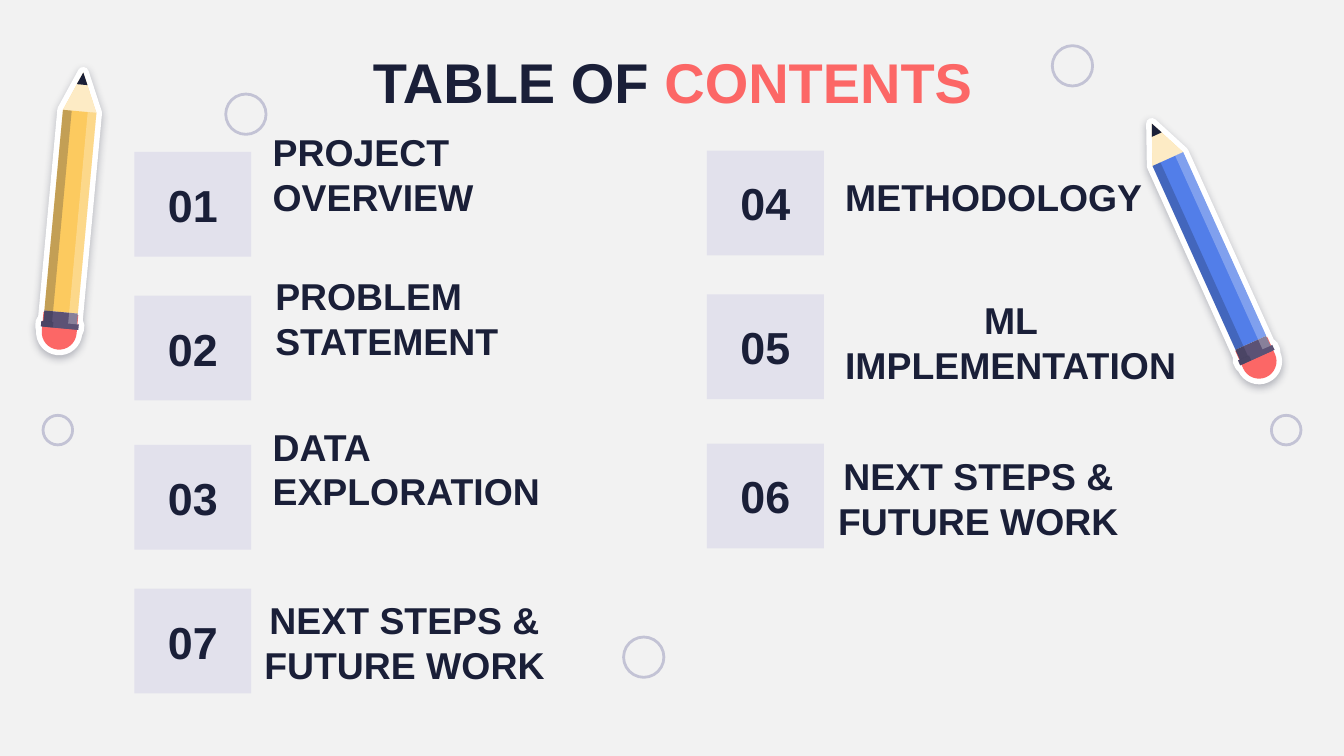
from math import cos, sin, pi, radians
from lxml.etree import SubElement as Sub
from pptx import Presentation
from pptx.dml.color import RGBColor
from pptx.enum.shapes import MSO_SHAPE as Kind
from pptx.enum.text import MSO_ANCHOR as Anchor, MSO_AUTO_SIZE as Auto, PP_ALIGN as Align
from pptx.oxml.ns import qn
from pptx.util import Inches, Pt

WIDE = 10
HIGH = WIDE * 9 / 16
COLS, ROWS = ((1, 0), (5.26, -0.01)), (1.13, 2.2, 3.31, 4.38)
TILE = (0.87, 0.78)
INK, RED, LILAC, RING, GOLD, WHITE = "1A1F38", "FC6766", "E2E1EC", "C3C3D5", "FCCA5F", "FFFFFF"
PLUM, PALE, BLUE = "5C5275", "F2F2F2", "527EE9"
LEFT, MID = Align.LEFT, Align.CENTER
ITEMS = [
    ("PROJECT OVERVIEW", 0, 0, 0.93, 0.16, 2.78, LEFT),
    ("PROBLEM STATEMENT", 0, 1, 0.95, 0.16, 3.14, LEFT),
    ("DATA EXPLORATION", 0, 2, 0.93, 0.17, 2.78, LEFT),
    ("METHODOLOGY", 1, 0, 0.93, 0.17, 2.78, LEFT),
    ("ML IMPLEMENTATION", 1, 1, 0.87, 0.35, 2.78, MID),
    ("NEXT STEPS & FUTURE WORK", 1, 2, 0.63, 0.4, 2.78, MID),
    ("NEXT STEPS & FUTURE WORK", 0, 3, 0.62, 0.39, 2.78, MID),
]
RINGS = [(7.83, 0.34, 0.3), (0.32, 3.09, 0.22), (9.46, 3.09, 0.22),
         (4.64, 4.74, 0.3), (1.68, 0.7, 0.3)]


def tint(fill, code, alpha=100):
    """Make a fill solid, with an opacity in per cent."""
    fill.solid()
    fill.fore_color.rgb = RGBColor.from_string(code)
    if alpha < 100:
        node = fill._xPr.find(qn("a:solidFill"))[0]
        Sub(node, qn("a:alpha"), val=str(alpha * 1000))


def write(shape, text, size, align, anchor):
    """Set bold text in a wrapping frame with even insets."""
    frame = shape.text_frame
    frame.text = text
    frame.word_wrap, frame.auto_size = True, Auto.NONE
    frame.vertical_anchor = anchor
    frame.margin_left = frame.margin_right = Inches(0.1)
    frame.margin_top = frame.margin_bottom = Inches(0.1)
    para = frame.paragraphs[0]
    para.alignment, para.line_spacing = align, 1.0
    style(para.runs[0], size, INK)
    return para


def style(run, size, code):
    """Format one run."""
    font = run.font
    font.name, font.size, font.bold = "Arial", Pt(size), True
    font.color.rgb = RGBColor.from_string(code)


def head(slide, x, y, w, h):
    """Place the two-colour title."""
    title = slide.shapes.title
    title.left, title.top, title.width, title.height = map(Inches, (x, y, w, h))
    para = write(title, "TABLE OF ", 30, MID, Anchor.TOP)
    run = para.add_run()
    run.text = "CONTENTS"
    style(run, 30, RED)


def entry(slide, num, text, x, y, dx, dy, wide, align):
    """Place a number tile and its label."""
    tile = slide.shapes.add_shape(Kind.RECTANGLE, *map(Inches, (x, y, *TILE)))
    tile.shadow.inherit = False
    tint(tile.fill, LILAC)
    tile.line.fill.background()
    write(tile, f"{num:02}", 24, MID, Anchor.MIDDLE)
    label = slide.shapes.add_textbox(*map(Inches, (x + dx, y + dy, wide, 0.44)))
    write(label, text, 20, align, Anchor.BOTTOM)


def ring(slide, x, y, size):
    """Draw one open circle."""
    disc = slide.shapes.add_shape(Kind.OVAL, *map(Inches, (x, y, size, size)))
    disc.shadow.inherit = False
    disc.fill.background()
    tint(disc.line.fill, RING)
    disc.line.width = Pt(1.5)


def band(x1, x2, y1, y2):
    """Return the corners of an upright strip."""
    return [(x1, y1), (x2, y1), (x2, y2), (x1, y2)]


def glow(shape):
    """Give the sticker edge its soft drop shadow."""
    effects = shape._element.spPr.find(qn("a:effectLst"))
    drop = Sub(effects, qn("a:outerShdw"), blurRad=str(Pt(4.5)), dist=str(Pt(1.5)),
               dir="5400000", algn="bl", rotWithShape="0")
    code = Sub(drop, qn("a:srgbClr"), val=INK)
    Sub(code, qn("a:alpha"), val="30000")


def pencil(slide, x, y, angle, code):
    """Draw a pencil sticker whose tip is at x, y."""
    turn = radians(angle)
    group = slide.shapes.add_group_shape()
    arc = [(0.13 * cos(i * pi / 16), 1.94 + 0.13 * sin(i * pi / 16)) for i in range(17)]
    cone = [(0, 0), (0.125, 0.29), (-0.125, 0.29)]
    edge = [(0, 0), (0.125, 0.29), (0.125, 1.87), (0.14, 1.87), (0.14, 1.91), *arc,
            (-0.14, 1.91), (-0.14, 1.87), (-0.125, 1.87), (-0.125, 0.29)]
    parts = [
        (edge, WHITE, 100), (cone, GOLD, 100), (cone, WHITE, 64),
        ([(-0.13, 1.8), (0.13, 1.8), *arc], RED, 100),
        (band(-0.125, 0.125, 0.29, 1.79), code, 100),
        ([(0, 0), (0.04, 0.09), (-0.04, 0.09)], INK, 100),
        (band(-0.125, 0.125, 1.79, 1.91), PLUM, 100),
        (band(-0.14, 0.14, 1.87, 1.91), PLUM, 100),
        (band(-0.125, -0.06, 0.29, 1.87), INK, 25),
        (band(0.06, 0.125, 0.29, 1.87), WHITE, 27),
        (band(-0.14, -0.05, 1.87, 1.91), INK, 25),
    ]
    for points, shade, alpha in parts:
        spots = [(Inches(x + u * cos(turn) - v * sin(turn)),
                  Inches(y + u * sin(turn) + v * cos(turn))) for u, v in points]
        pen = group.shapes.build_freeform(*spots[0])
        pen.add_line_segments(spots[1:], close=True)
        shape = pen.convert_to_shape()
        shape.shadow.inherit = False
        tint(shape.fill, shade, alpha)
        if points is edge:
            tint(shape.line.fill, WHITE)
            shape.line.width = Pt(6)
            glow(shape)
        else:
            shape.line.fill.background()


def main():
    """Build and save the contents slide."""
    deck = Presentation()
    deck.slide_width, deck.slide_height = Inches(WIDE), Inches(HIGH)
    slide = deck.slides.add_slide(deck.slide_layouts[5])
    tint(slide.background.fill, PALE)
    for spot in RINGS:
        ring(slide, *spot)
    head(slide, 0.79, 0.25, 8.43, 0.63)
    pencil(slide, 0.62, 0.54, 5.3, GOLD)
    pencil(slide, 8.57, 0.92, -24.3, BLUE)
    for num, (text, col, row, *rest) in enumerate(ITEMS, 1):
        x, shift = COLS[col]
        entry(slide, num, text, x, ROWS[row] + shift, *rest)
    deck.save("out.pptx")


if __name__ == "__main__":
    main()
